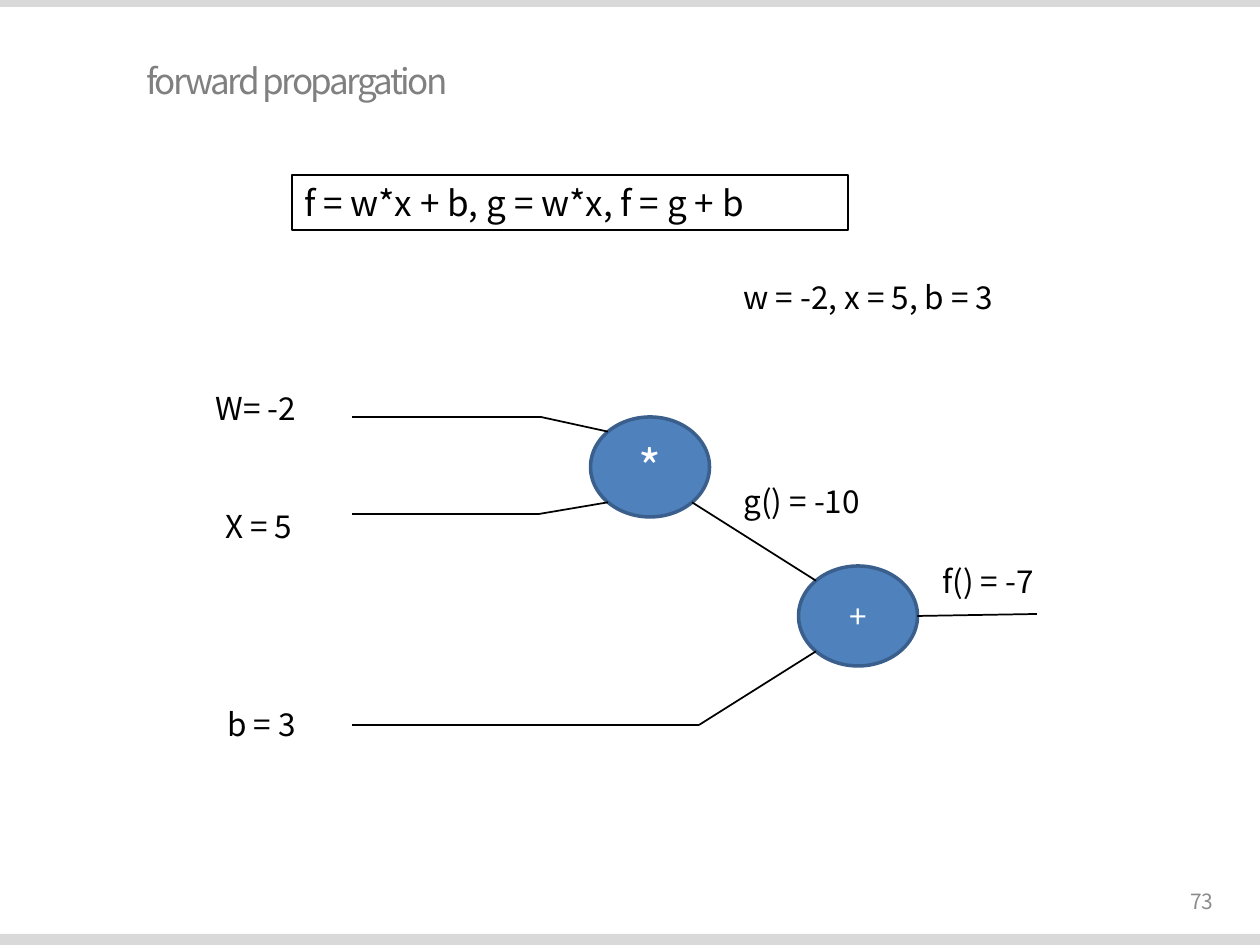
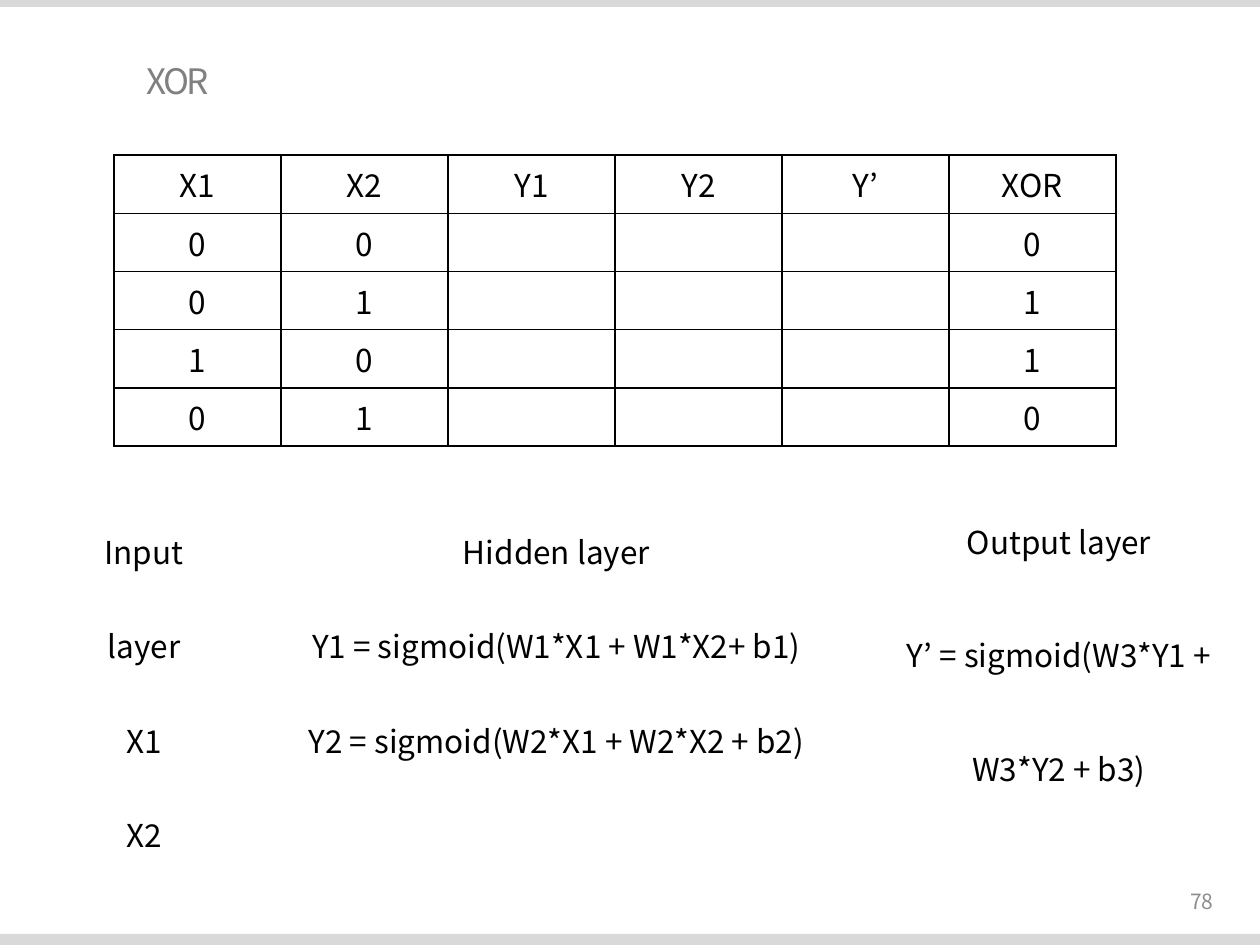
from itertools import pairwise
from math import cos, pi

from lxml import etree
from pptx import Presentation
from pptx.dml.color import RGBColor
from pptx.enum.shapes import MSO_CONNECTOR, MSO_SHAPE
from pptx.enum.text import MSO_ANCHOR, MSO_AUTO_SIZE, PP_ALIGN
from pptx.oxml.ns import qn
from pptx.util import Emu, Pt

LEFT, CENTER, RIGHT = PP_ALIGN.LEFT, PP_ALIGN.CENTER, PP_ALIGN.RIGHT
TOP, MIDDLE = MSO_ANCHOR.TOP, MSO_ANCHOR.MIDDLE
RECTANGLE, OVAL = MSO_SHAPE.RECTANGLE, MSO_SHAPE.OVAL
STRAIGHT = MSO_CONNECTOR.STRAIGHT
NO_AUTOFIT = MSO_AUTO_SIZE.NONE

EMU_PER_PX = 914400 / 126
SLIDE_WIDTH, SLIDE_HEIGHT = 1260, 945
TITLE_ONLY_LAYOUT = 5

FONT = "Noto Sans CJK KR"
BLACK, WHITE = "000000", "FFFFFF"
BAND_GRAY, TITLE_GRAY, NUMBER_GRAY = "D9D9D9", "808080", "8C8C8C"
NODE_FILL, NODE_LINE = "4F81BD", "3A5F8C"

NODE_WIDTH, NODE_HEIGHT = 119, 100
INPUT_LINE_LEFT = 352


def px(*lengths):
    return [Emu(round(length * EMU_PER_PX)) for length in lengths]


def rgb(color):
    return RGBColor.from_string(color)


def write_text(text_frame, lines, size, color=BLACK, align=LEFT, anchor=TOP, line_spacing=None):
    text_frame.word_wrap = True
    text_frame.auto_size = NO_AUTOFIT
    text_frame.vertical_anchor = anchor
    text_frame.text = "\n".join(lines)
    for paragraph in text_frame.paragraphs:
        format_paragraph(paragraph, size, color, align)
        paragraph.line_spacing = line_spacing


def format_paragraph(paragraph, size, color, align):
    paragraph.alignment = align
    paragraph.font.name = FONT
    paragraph.font.size = Pt(size)
    paragraph.font.color.rgb = rgb(color)


def add_text(slide, box, lines, size=18, **style):
    text_box = slide.shapes.add_textbox(*px(*box))
    write_text(text_box.text_frame, lines, size, **style)


def add_shape(slide, preset, box, fill=None, line=None, line_width=1):
    shape = slide.shapes.add_shape(preset, *px(*box))
    shape.shadow.inherit = False
    if fill:
        shape.fill.solid()
        shape.fill.fore_color.rgb = rgb(fill)
    else:
        shape.fill.background()
    if line:
        shape.line.color.rgb = rgb(line)
        shape.line.width = Pt(line_width)
    else:
        shape.line.fill.background()
    return shape


def add_node(slide, center, symbol, size):
    x, y = center
    box = (x - NODE_WIDTH / 2, y - NODE_HEIGHT / 2, NODE_WIDTH, NODE_HEIGHT)
    node = add_shape(slide, OVAL, box, NODE_FILL, NODE_LINE, 2)
    write_text(node.text_frame, [symbol], size, WHITE, CENTER, MIDDLE)


def node_corner(center, right, down):
    """Point on a node's rim along a diagonal; right and down are 1 or -1."""
    x, y = center
    reach = cos(pi / 4) / 2
    return x + right * reach * NODE_WIDTH, y + down * reach * NODE_HEIGHT


def add_wire(slide, *points):
    """Join the points in turn with straight connectors."""
    for start, end in pairwise(points):
        connector = slide.shapes.add_connector(STRAIGHT, *px(*start, *end))
        connector.line.color.rgb = rgb(BLACK)
        connector.line.width = Pt(1)
        properties = connector._element.spPr
        etree.SubElement(properties, qn("a:effectLst"))


def add_cell_borders(cell):
    properties = cell._tc.get_or_add_tcPr()
    for side in ("lnL", "lnR", "lnT", "lnB"):
        border = etree.SubElement(properties, qn(f"a:{side}"), w=str(Pt(1)))
        fill = etree.SubElement(border, qn("a:solidFill"))
        etree.SubElement(fill, qn("a:srgbClr"), val=BLACK)


def add_grid(slide, left, top, column_width, row_height, rows):
    column_count = len(rows[0])
    box = px(left, top, column_width * column_count, row_height * len(rows))
    table = slide.shapes.add_table(len(rows), column_count, *box).table
    table.first_row = table.horz_banding = False
    for row_index, row in enumerate(rows):
        for column_index, value in enumerate(row):
            cell = table.cell(row_index, column_index)
            cell.text = value
            format_paragraph(cell.text_frame.paragraphs[0], 18, BLACK, CENTER)
            add_cell_borders(cell)
            cell.fill.background()


def add_base_slide(presentation, title, number):
    slide = presentation.slides.add_slide(presentation.slide_layouts[TITLE_ONLY_LAYOUT])
    add_shape(slide, RECTANGLE, (0, 0, SLIDE_WIDTH, 7), BAND_GRAY)
    add_shape(slide, RECTANGLE, (0, 934, SLIDE_WIDTH, 11), BAND_GRAY)
    heading = slide.shapes.title
    heading.left, heading.top, heading.width, heading.height = px(134, 42, 1063, 77)
    write_text(heading.text_frame, [title], 20, TITLE_GRAY, anchor=MIDDLE)
    run = heading.text_frame.paragraphs[0].runs[0]
    run._r.get_or_add_rPr().set("spc", "-150")
    add_text(slide, (1116, 876, 110, 50), [number], 12,
             color=NUMBER_GRAY, align=RIGHT, anchor=MIDDLE)
    return slide


def build_forward_propagation(presentation):
    slide = add_base_slide(presentation, "forward propargation", "73")
    formula = add_shape(slide, RECTANGLE, (292, 175, 556, 55), line=BLACK, line_width=0.75)
    write_text(formula.text_frame, ["f = w*x + b, g = w*x, f = g + b"], 20)

    product, total = (650, 467), (858, 616)
    add_node(slide, product, "*", 28)
    add_node(slide, total, "+", 18)

    inputs = [
        (417, 541, node_corner(product, -1, -1)),
        (514, 539, node_corner(product, -1, 1)),
        (725, 699, node_corner(total, -1, 1)),
    ]
    for y, bend_x, target in inputs:
        add_wire(slide, (INPUT_LINE_LEFT, y), (bend_x, y), target)
    add_wire(slide, node_corner(product, 1, 1), node_corner(total, -1, -1))
    add_wire(slide, (total[0] + NODE_WIDTH / 2, total[1]), (1037, 614))

    labels = [
        ("W= -2", 203, 383, 120),
        ("X = 5", 213, 501, 107),
        ("b = 3", 215, 699, 107),
        ("f() = -7", 930, 556, 130),
        ("g() = -10", 731, 476, 158),
        ("w = -2, x = 5, b = 3", 731, 272, 319),
    ]
    for text, left, top, width in labels:
        add_text(slide, (left, top, width, 50), [text])


def build_xor(presentation):
    slide = add_base_slide(presentation, "XOR", "78")
    truth_table = [("0", "0", "0"), ("0", "1", "1"), ("1", "0", "1"), ("0", "1", "0")]
    rows = [("X1", "X2", "Y1", "Y2", "Y’", "XOR")]
    rows += [(x1, x2, "", "", "", xor) for x1, x2, xor in truth_table]
    add_grid(slide, 114, 155, 167, 51, rows)

    layers = [
        ((54, 470, 180, 299), 2.5, ["Input layer", "X1", "X2"]),
        ((179, 470, 755, 299), 2.5, ["Hidden layer",
                                     "Y1 = sigmoid(W1*X1 + W1*X2+ b1)",
                                     "Y2 = sigmoid(W2*X1 + W2*X2 + b2)"]),
        ((878, 441, 362, 357), 3.0, ["Output layer", "Y’ = sigmoid(W3*Y1 +", "W3*Y2 + b3)"]),
    ]
    for box, line_spacing, lines in layers:
        add_text(slide, box, lines, align=CENTER, line_spacing=line_spacing)


def main():
    presentation = Presentation()
    presentation.slide_width, presentation.slide_height = px(SLIDE_WIDTH, SLIDE_HEIGHT)
    build_forward_propagation(presentation)
    build_xor(presentation)
    presentation.save("out.pptx")


if __name__ == "__main__":
    main()
